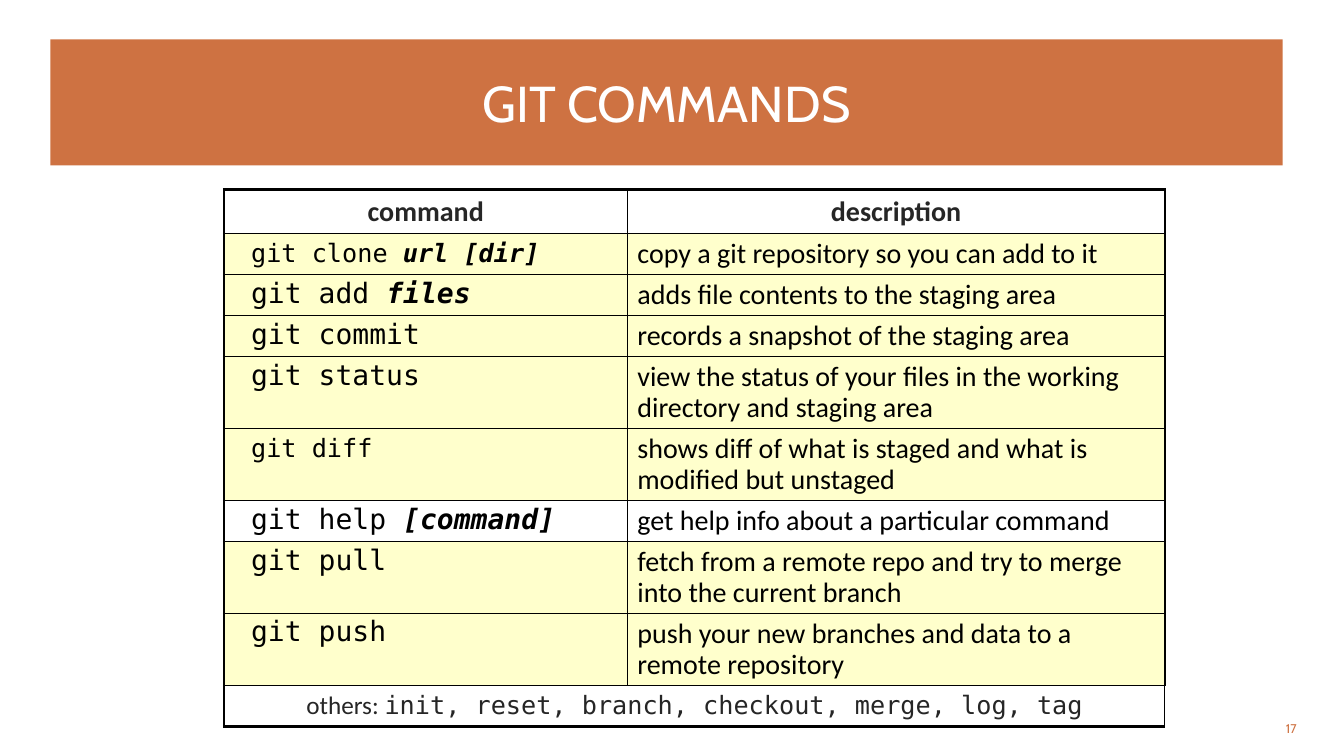
"""Build the slide that lists common git commands in a table."""
from dataclasses import dataclass

from lxml.etree import SubElement
from pptx import Presentation
from pptx.dml.color import RGBColor
from pptx.enum.text import MSO_ANCHOR as Anchor, MSO_AUTO_SIZE as AutoSize, PP_ALIGN as Align
from pptx.oxml.ns import qn
from pptx.slide import Slide
from pptx.table import Table, _Cell as Cell
from pptx.text.text import TextFrame, _Paragraph as Paragraph
from pptx.util import Inches, Pt

WIDTH, HEIGHT = Inches(13.33), Inches(7.5)
GRID_COLUMNS, GRID_ROWS = 40, 30
ORANGE = RGBColor(0xCE, 0x72, 0x42)
WHITE = RGBColor(0xFF, 0xFF, 0xFF)
BLACK = RGBColor(0x00, 0x00, 0x00)
CHARCOAL = RGBColor(0x26, 0x26, 0x26)
CREAM = RGBColor(0xFF, 0xFF, 0xCC)
HEADING_FONT, BODY_FONT, CODE_FONT = "Cabin", "Calibri", "DejaVu Sans Mono"
OUTER_LINE, INNER_LINE = Pt(2.25), Pt(1)
HEADER_ROW, SINGLE_ROW, DOUBLE_ROW, OTHERS_ROW = 1.72, 1.6, 2.8, 1.16


@dataclass
class Command:
    """One git command, its argument and what it does."""
    call: str
    argument: str
    purpose: str
    row_height: float = SINGLE_ROW
    size: int = 20
    highlighted: bool = True


COMMANDS = [
    Command("git clone ", "url [dir]", "copy a git repository so you can add to it", size=18),
    Command("git add ", "files", "adds file contents to the staging area"),
    Command("git commit", "", "records a snapshot of the staging area"),
    Command("git status", "", "view the status of your files in the working directory "
            "and staging area", DOUBLE_ROW),
    Command("git diff", "", "shows diff of what is staged and what is modified but unstaged",
            DOUBLE_ROW, size=18),
    Command("git help ", "[command]", "get help info about a particular command",
            highlighted=False),
    Command("git pull", "", "fetch from a remote repo and try to merge into the current branch",
            DOUBLE_ROW),
    Command("git push", "", "push your new branches and data to a remote repository", DOUBLE_ROW),
]


def across(columns: float) -> int:
    """Return the length of a number of grid columns."""
    return round(WIDTH * columns / GRID_COLUMNS)


def down(rows: float) -> int:
    """Return the length of a number of grid rows."""
    return round(HEIGHT * rows / GRID_ROWS)


def write(paragraph: Paragraph, text: str, *, size: float = 20, font: str = BODY_FONT,
          color: RGBColor = BLACK, bold: bool = False, italic: bool = False) -> None:
    """Append formatted text to a paragraph."""
    run = paragraph.add_run()
    run.text = text
    run.font.name, run.font.size = font, Pt(size)
    run.font.bold, run.font.italic = bold, italic
    run.font.color.rgb = color


def center_vertically(frame: TextFrame) -> None:
    """Wrap text at a fixed size in the middle of its frame."""
    frame.word_wrap = True
    frame.auto_size = AutoSize.NONE
    frame.vertical_anchor = Anchor.MIDDLE


def add_heading(slide: Slide) -> None:
    """Fill the title placeholder as an orange banner."""
    heading = slide.shapes.title
    heading.left, heading.top = across(1.5), down(1.56)
    heading.width, heading.height = across(36.67), down(5)
    heading.fill.solid()
    heading.fill.fore_color.rgb = ORANGE
    frame = heading.text_frame
    center_vertically(frame)
    frame.margin_top = frame.margin_bottom = 0
    frame.paragraphs[0].alignment = Align.CENTER
    write(frame.paragraphs[0], "GIT COMMANDS", size=36, font=HEADING_FONT, color=WHITE)


def add_page_number(slide: Slide) -> None:
    """Place the page number in the lower right corner."""
    page = slide.shapes.add_textbox(across(35.44), down(28.12), across(3.45), down(1.6))
    center_vertically(page.text_frame)
    paragraph = page.text_frame.paragraphs[0]
    paragraph.alignment, paragraph.space_after = Align.RIGHT, Pt(6)
    write(paragraph, "17", size=9, font=HEADING_FONT, color=ORANGE)


def draw_border(cell: Cell, side: str, width: int) -> None:
    """Draw a black line on one side of a cell."""
    line = SubElement(cell._tc.get_or_add_tcPr(), qn(f"a:ln{side}"), w=str(width))
    fill = SubElement(line, qn("a:solidFill"))
    SubElement(fill, qn("a:srgbClr"), val=str(BLACK))


def frame_table(table: Table) -> None:
    """Give the table a thick outline and thin inner lines."""
    last_row, last_column = len(table.rows) - 1, len(table.columns) - 1
    for row in range(last_row + 1):
        for column in range(last_column + 1):
            outer_sides = {"L": column == 0, "R": column == last_column,
                           "T": row == 0, "B": row == last_row}
            for side, outer in outer_sides.items():
                draw_border(table.cell(row, column), side, OUTER_LINE if outer else INNER_LINE)
            table.cell(row, column).fill.background()


def fill_command(table: Table, row: int, command: Command) -> None:
    """Write one command and its purpose into a table row."""
    call_cell, purpose_cell = table.cell(row, 0), table.cell(row, 1)
    for cell in (call_cell, purpose_cell):
        cell.text_frame.paragraphs[0].line_spacing = 0.9
        if command.highlighted:
            cell.fill.solid()
            cell.fill.fore_color.rgb = CREAM
    call = call_cell.text_frame.paragraphs[0]
    write(call, " ", font=CODE_FONT)
    write(call, command.call, size=command.size, font=CODE_FONT)
    if command.argument:
        write(call, command.argument, size=command.size, font=CODE_FONT, bold=True, italic=True)
    write(purpose_cell.text_frame.paragraphs[0], command.purpose)


def add_commands(slide: Slide) -> None:
    """Add the table of commands."""
    heights = [HEADER_ROW, *(command.row_height for command in COMMANDS), OTHERS_ROW]
    table = slide.shapes.add_table(len(heights), 2, across(6.67), down(7.52),
                                   across(28), down(sum(heights))).table
    table.first_row = table.horz_banding = False
    for column, width in zip(table.columns, (12, 16)):
        column.width = across(width)
    for row, height in zip(table.rows, heights):
        row.height = down(height)
    frame_table(table)
    for column, label in enumerate(("command", "description")):
        header = table.cell(0, column).text_frame.paragraphs[0]
        header.alignment = Align.CENTER
        write(header, label, color=CHARCOAL, bold=True)
    for row, command in enumerate(COMMANDS, start=1):
        fill_command(table, row, command)
    last_row = len(heights) - 1
    table.cell(last_row, 0).merge(table.cell(last_row, 1))
    others = table.cell(last_row, 0).text_frame.paragraphs[0]
    others.alignment = Align.CENTER
    write(others, "others: ", size=18, color=CHARCOAL)
    write(others, "init, reset, branch, checkout, merge, log, tag", size=18,
          font=CODE_FONT, color=CHARCOAL)


def main() -> None:
    """Build and save the presentation."""
    deck = Presentation()
    deck.slide_width, deck.slide_height = WIDTH, HEIGHT
    slide = deck.slides.add_slide(deck.slide_layouts[5])
    add_page_number(slide)
    add_heading(slide)
    add_commands(slide)
    deck.save("out.pptx")


if __name__ == "__main__":
    main()
